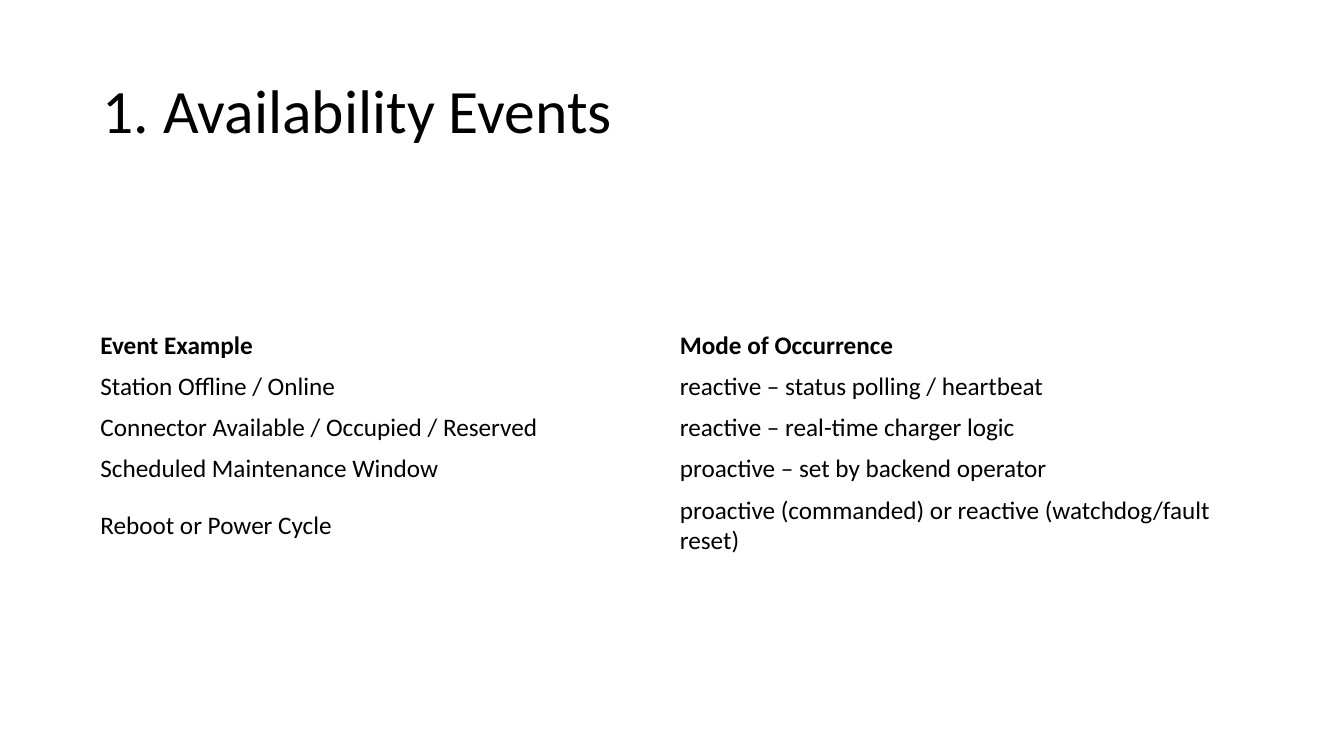
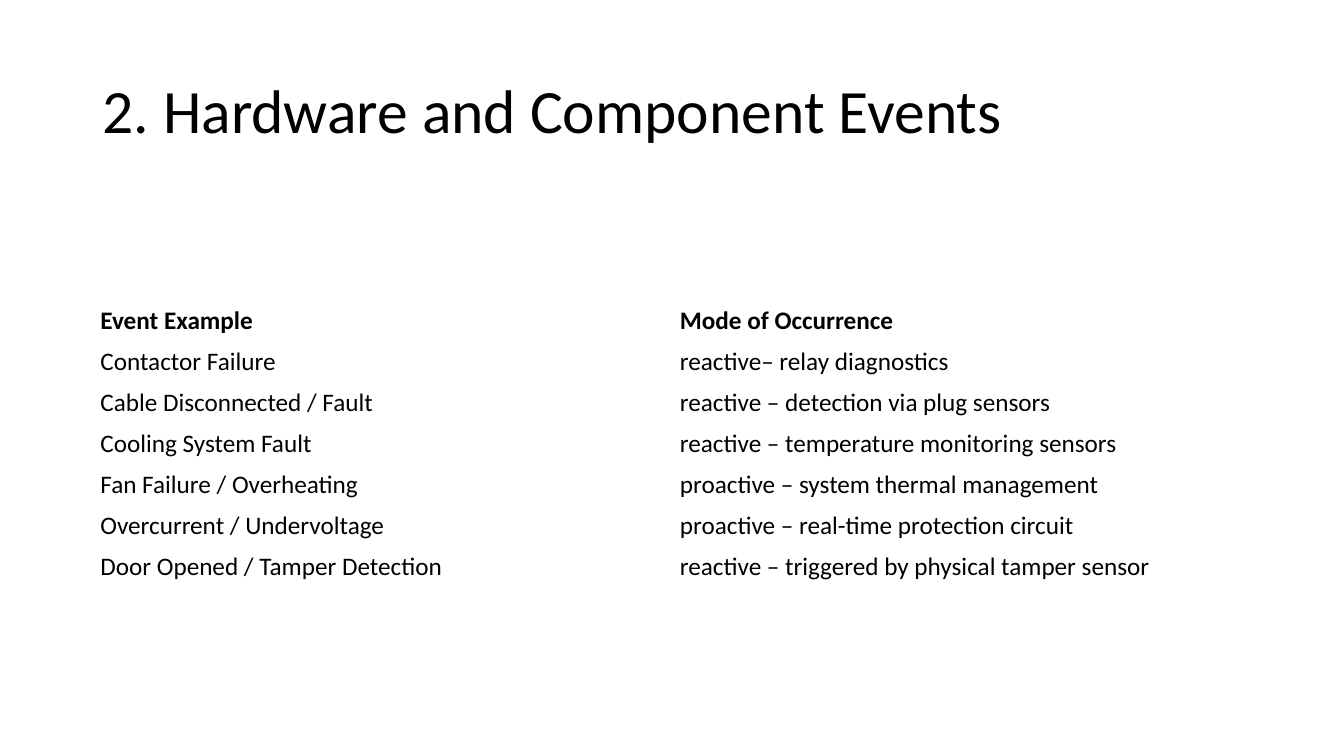
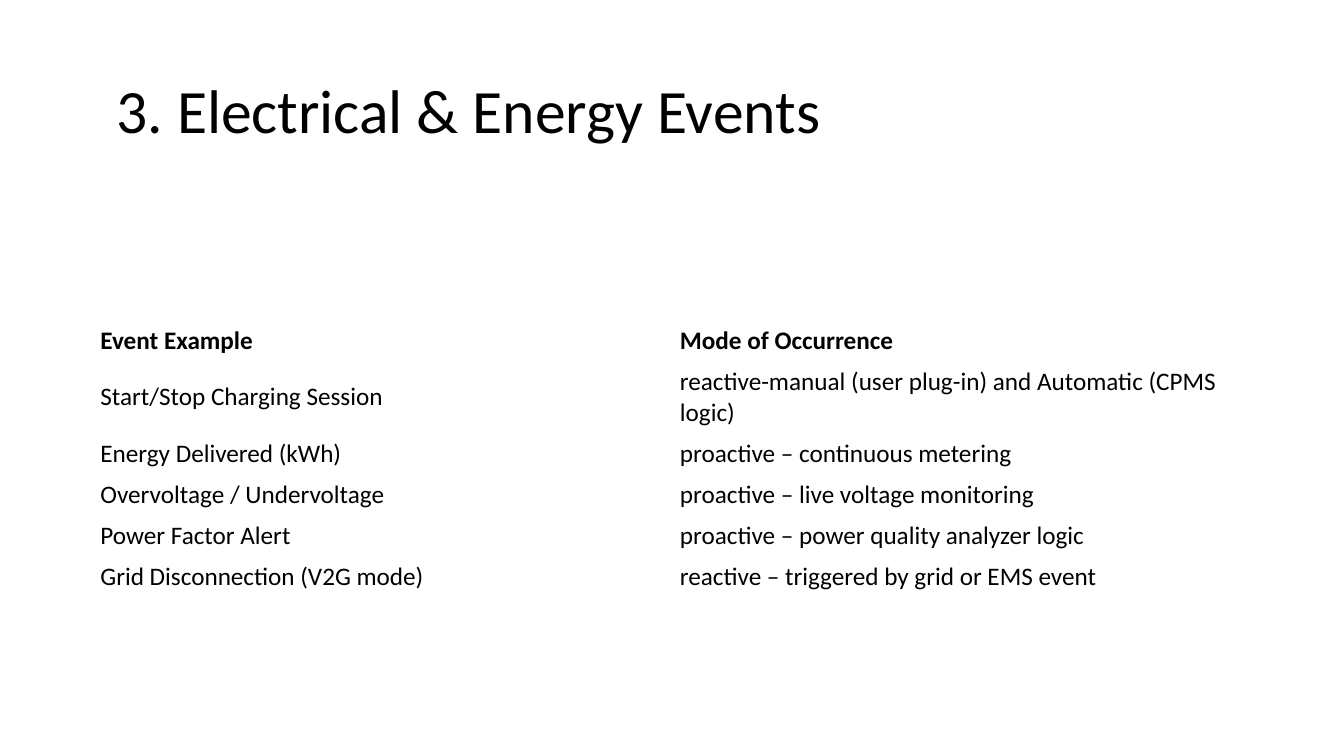
from pptx import Presentation
from pptx.dml.color import RGBColor
from pptx.enum.text import MSO_ANCHOR, MSO_AUTO_SIZE, PP_ALIGN
from pptx.util import Cm, Pt

BLACK = RGBColor(0, 0, 0)
WHITE = RGBColor(255, 255, 255)
MIDDLE = MSO_ANCHOR.MIDDLE
LEFT = PP_ALIGN.LEFT
NO_FIT = MSO_AUTO_SIZE.NONE

# Shared formats
EDGE, WIDTH, ROW = Cm(2.33), Cm(29.21), Cm(1.03)
PLACE = {"left": EDGE, "top": Cm(1.01), "width": WIDTH, "height": Cm(3.68)}
FRAME = {"vertical_anchor": MIDDLE, "word_wrap": True, "auto_size": NO_FIT}
CELL = {"vertical_anchor": MIDDLE, "margin_left": Cm(0.2),
        "margin_right": Cm(0.2), "margin_top": Cm(0.13),
        "margin_bottom": Cm(0.13)}
HEAD = {"name": "Calibri", "size": Pt(44), "bold": False}
BODY = {"name": "Calibri", "size": Pt(18)}
PLAIN = {"first_row": False, "horz_banding": False}
LABELS = ("Event Example", "Mode of Occurrence")

# Title, top of the table, rows
SLIDES = [
    ("1. Availability Events", Cm(8.2), [
        ("Station Offline / Online", "reactive – status polling / heartbeat"),
        ("Connector Available / Occupied / Reserved",
         "reactive – real-time charger logic"),
        ("Scheduled Maintenance Window",
         "proactive – set by backend operator"),
        ("Reboot or Power Cycle",
         "proactive (commanded) or reactive (watchdog/fault reset)"),
    ]),
    ("2. Hardware and Component Events", Cm(7.56), [
        ("Contactor Failure", "reactive– relay diagnostics"),
        ("Cable Disconnected / Fault",
         "reactive – detection via plug sensors"),
        ("Cooling System Fault",
         "reactive – temperature monitoring sensors"),
        ("Fan Failure / Overheating",
         "proactive – system thermal management"),
        ("Overcurrent / Undervoltage",
         "proactive – real-time protection circuit"),
        ("Door Opened / Tamper Detection",
         "reactive – triggered by physical tamper sensor"),
    ]),
    (" 3. Electrical & Energy Events", Cm(8.07), [
        ("Start/Stop Charging Session",
         "reactive-manual (user plug-in) and Automatic (CPMS logic)"),
        ("Energy Delivered (kWh)", "proactive – continuous metering"),
        ("Overvoltage / Undervoltage", "proactive – live voltage monitoring"),
        ("Power Factor Alert", "proactive – power quality analyzer logic"),
        ("Grid Disconnection (V2G mode)",
         "reactive – triggered by grid or EMS event"),
    ]),
]


def style(item, form):
    for key, value in form.items():
        setattr(item, key, value)


deck = Presentation()
deck.slide_width, deck.slide_height = Cm(33.87), Cm(19.05)
layout = deck.slide_layouts[5]
fill = deck.slide_master.background.fill
fill.solid()
fill.fore_color.rgb = WHITE

for name, top, events in SLIDES:
    # Title
    slide = deck.slides.add_slide(layout)
    title = slide.shapes.title
    style(title, PLACE)
    title.text = name
    style(title.text_frame, FRAME)
    para = title.text_frame.paragraphs[0]
    style(para, {"alignment": LEFT, "line_spacing": 0.9})
    style(para.runs[0].font, HEAD)
    para.runs[0].font.color.rgb = BLACK

    # Event table
    rows = [LABELS] + events
    table = slide.shapes.add_table(
        len(rows), len(LABELS), EDGE, top, WIDTH, ROW * len(rows)).table
    style(table, PLAIN)
    for r, texts in enumerate(rows):
        for c, text in enumerate(texts):
            cell = table.cell(r, c)
            cell.text = text
            cell.fill.background()
            style(cell, CELL)
            font = cell.text_frame.paragraphs[0].runs[0].font
            style(font, BODY)
            font.bold = r == 0
            font.color.rgb = BLACK

deck.save("out.pptx")
